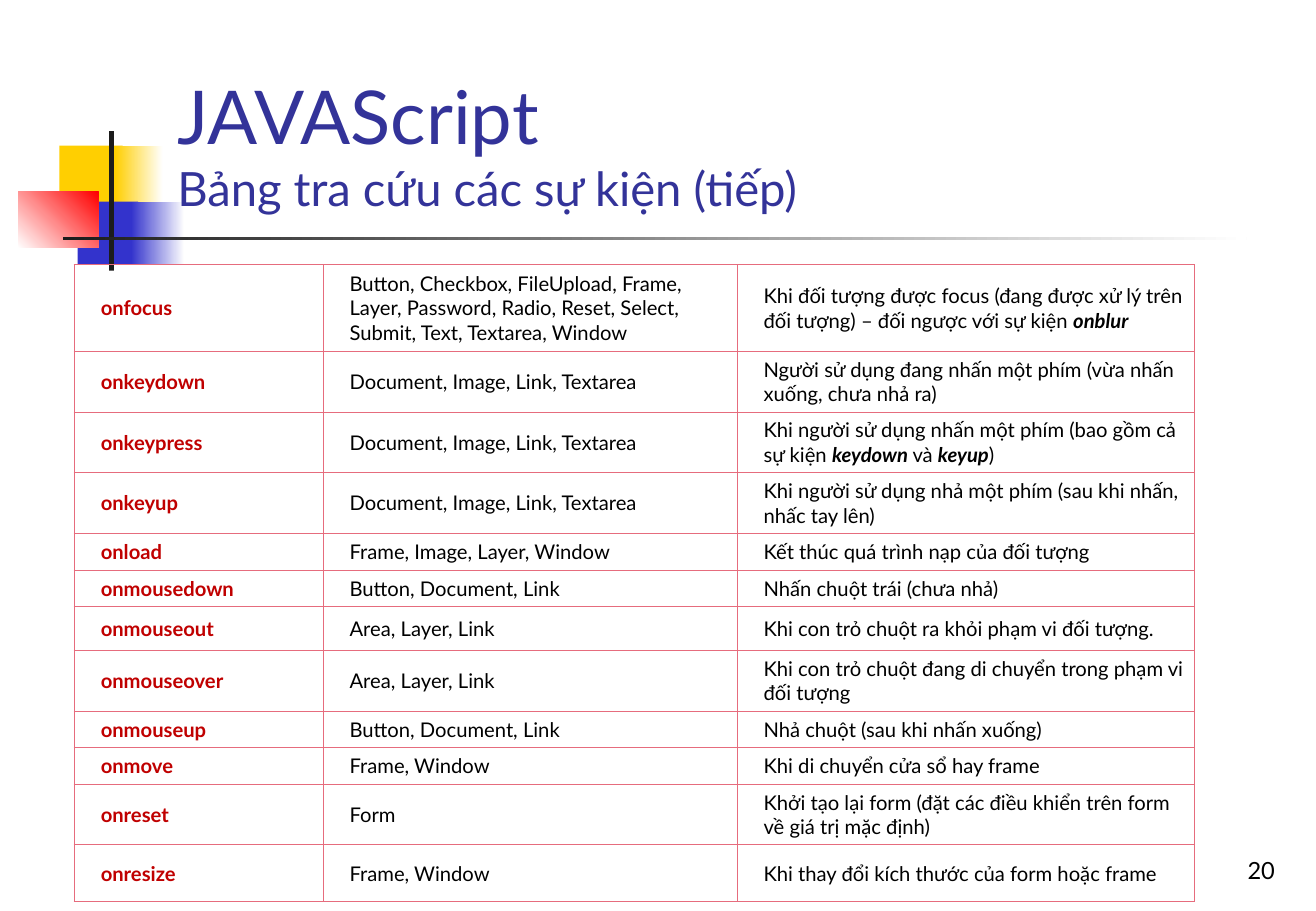
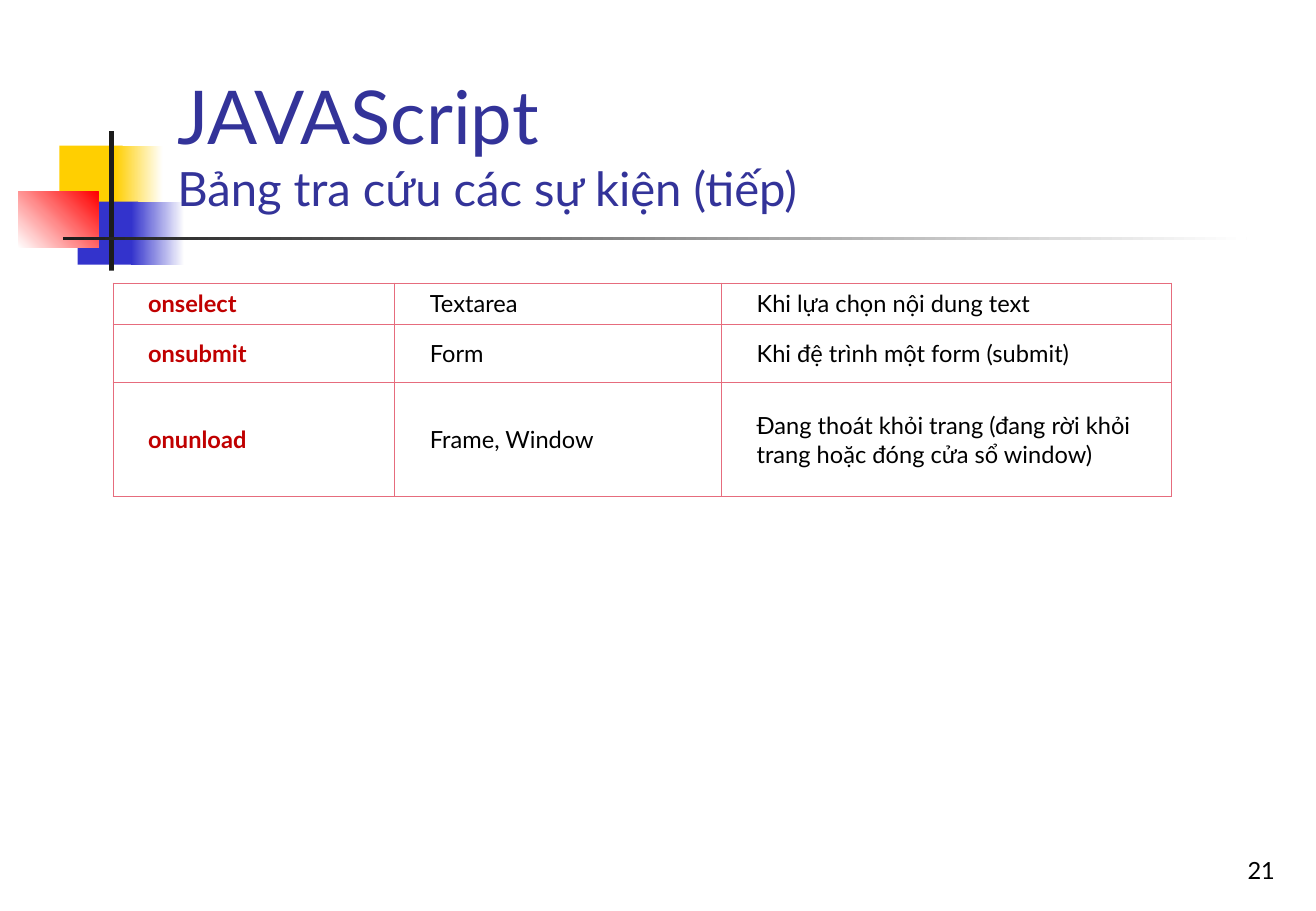
from dataclasses import dataclass

import lxml.etree
import pptx
import pptx.dml.color
import pptx.enum.dml
import pptx.enum.shapes
import pptx.enum.text
import pptx.oxml.ns
import pptx.util


@dataclass(frozen=True)
class Theme:
    font: str = "Lato"
    title: str = "333399"
    text: str = "000000"
    event: str = "C00000"
    border: str = "E66C7D"
    yellow: str = "FFCF01"
    blue: str = "3333CC"
    red: str = "FF0000"
    ink: str = "1C1C1C"
    paper: str = "FFFFFF"
    title_size: int = 44
    subtitle_size: int = 28
    number_size: int = 14
    border_width: float = 0.45


THEME = Theme()
WIDTH = pptx.util.Inches(10.84)
HEIGHT = pptx.util.Inches(7.5)
MIDDLE = pptx.enum.text.MSO_ANCHOR.MIDDLE
BOTTOM = pptx.enum.text.MSO_ANCHOR.BOTTOM

# Left, top, width and height in percent of the slide
TITLE_BOX = (12.55, 3.07, 85.15, 21.33)
NUMBER_BOX = (76.94, 91.07, 20.85, 6.67)

# Box, gradient start, gradient end (None for a solid fill), angle
DECORATION = [
    ((4.52, 16, 4.8, 6.93), THEME.yellow, None, 0),
    ((8.76, 16, 3.6, 6.93), THEME.yellow, THEME.paper, 0),
    ((5.9, 22.13, 4.61, 6.93), THEME.blue, None, 0),
    ((9.96, 22.13, 4.06, 6.93), THEME.blue, THEME.paper, 0),
    ((1.38, 21.07, 6.09, 6.13), THEME.paper, THEME.red, 45),
    ((8.3, 14.4, 0.37, 15.33), THEME.ink, None, 0),
    ((4.8, 26, 89.94, 0.4), THEME.ink, THEME.paper, 0),
]

# Each row: height weight, event, objects, description; *...* is emphasised
SLIDES = [
    {
        "number": "20",
        "box": (5.63, 29.07, 85.15, 65.2),
        "columns": (2.05, 3.41, 3.77),
        "size": 12,
        "margin": 0.02,
        "rows": [
            (71, "onfocus",
             "Button, Checkbox, FileUpload, Frame, Layer, Password, Radio, "
             "Reset, Select, Submit, Text, Textarea, Window",
             "Khi đối tượng được focus (đang được xử lý trên đối tượng) – "
             "đối ngược với sự kiện *onblur*"),
            (47, "onkeydown", "Document, Image, Link, Textarea",
             "Người sử dụng đang nhấn một phím (vừa nhấn xuống, chưa nhả ra)"),
            (47, "onkeypress", "Document, Image, Link, Textarea",
             "Khi người sử dụng nhấn một phím (bao gồm cả sự kiện "
             "*keydown *và *keyup*)"),
            (47, "onkeyup", "Document, Image, Link, Textarea",
             "Khi người sử dụng nhả một phím (sau khi nhấn, nhấc tay lên)"),
            (25, "onload", "Frame, Image, Layer, Window",
             "Kết thúc quá trình nạp của đối tượng"),
            (25, "onmousedown", "Button, Document, Link",
             "Nhấn chuột trái (chưa nhả)"),
            (36, "onmouseout", "Area, Layer, Link",
             "Khi con trỏ chuột ra khỏi phạm vi đối tượng."),
            (47, "onmouseover", "Area, Layer, Link",
             "Khi con trỏ chuột đang di chuyển trong phạm vi đối tượng"),
            (25, "onmouseup", "Button, Document, Link",
             "Nhả chuột (sau khi nhấn xuống)"),
            (25, "onmove", "Frame, Window",
             "Khi di chuyển cửa sổ hay frame"),
            (47, "onreset", "Form",
             "Khởi tạo lại form (đặt các điều khiển trên form về giá trị "
             "mặc định)"),
            (47, "onresize", "Frame, Window",
             "Khi thay đổi kích thước của form hoặc frame"),
        ],
    },
    {
        "number": "21",
        "box": (8.58, 31.07, 80.4, 23.47),
        "columns": (2.32, 2.69, 3.7),
        "size": 14,
        "margin": 0.09,
        "rows": [
            (34, "onselect", "Textarea", "Khi lựa chọn nội dung text"),
            (48, "onsubmit", "Form", "Khi đệ trình một form (submit)"),
            (94, "onunload", "Frame, Window",
             "Đang thoát khỏi trang (đang rời khỏi trang hoặc đóng cửa sổ "
             "window)"),
        ],
    },
]


def rgb(value):
    return pptx.dml.color.RGBColor.from_string(value)


def apply_format(target, values):
    for name, value in values.items():
        setattr(target, name, value)


def place(box):
    """Turn percentages of the slide into left, top, width and height."""
    return [round(share * full / 100)
            for share, full in zip(box, (WIDTH, HEIGHT) * 2)]


def add_run(paragraph, text, size, color, bold=False, italic=False):
    run = paragraph.add_run()
    run.text = text
    apply_format(run.font, {"name": THEME.font, "size": pptx.util.Pt(size),
                            "bold": bold, "italic": italic})
    run.font.color.rgb = rgb(color)


def add_block(slide, box, start, end, angle):
    """Add a borderless rectangle with a solid or two-colour fill."""
    block = slide.shapes.add_shape(
        pptx.enum.shapes.MSO_SHAPE.RECTANGLE, *place(box))
    block.shadow.inherit = False
    block.line.fill.background()
    if end is None:
        block.fill.solid()
        block.fill.fore_color.rgb = rgb(start)
    else:
        block.fill.gradient()
        block.fill.gradient_angle = angle
        for stop, color in zip(block.fill.gradient_stops, (start, end)):
            stop.color.rgb = rgb(color)
    return block


def prepare_layout(layout, slide):
    """Set the shared title frame and move the decoration to the layout."""
    title = layout.placeholders[0]
    apply_format(title, dict(zip(("left", "top", "width", "height"),
                                 place(TITLE_BOX))))
    apply_format(title.text_frame, {
        "vertical_anchor": BOTTOM,
        "auto_size": pptx.enum.text.MSO_AUTO_SIZE.NONE,
    })
    for index, block in enumerate(DECORATION):
        element = add_block(slide, *block).element
        element.nvSpPr.cNvPr.set("id", str(100 + index))
        layout.shapes.element.append(element)


def fill_title(slide):
    paragraph = slide.shapes.title.text_frame.paragraphs[0]
    paragraph.alignment = pptx.enum.text.PP_ALIGN.LEFT
    add_run(paragraph, "JAVAScript", THEME.title_size, THEME.title)
    paragraph.add_line_break()
    add_run(paragraph, "Bảng tra cứu các sự kiện (tiếp)",
            THEME.subtitle_size, THEME.title)


def add_page_number(slide, number):
    frame = slide.shapes.add_textbox(*place(NUMBER_BOX)).text_frame
    apply_format(frame, {"word_wrap": True, "vertical_anchor": BOTTOM})
    paragraph = frame.paragraphs[0]
    paragraph.alignment = pptx.enum.text.PP_ALIGN.RIGHT
    add_run(paragraph, number, THEME.number_size, THEME.text)


def set_borders(cell):
    properties = cell._tc.get_or_add_tcPr()
    qn = pptx.oxml.ns.qn
    for index, side in enumerate(("lnL", "lnR", "lnT", "lnB")):
        line = lxml.etree.Element(
            qn("a:" + side), w=str(pptx.util.Pt(THEME.border_width)))
        fill = lxml.etree.SubElement(line, qn("a:solidFill"))
        lxml.etree.SubElement(fill, qn("a:srgbClr"), val=THEME.border)
        properties.insert(index, line)


def fill_cell(cell, text, size, margin, is_event):
    apply_format(cell, {
        "vertical_anchor": MIDDLE,
        "margin_left": pptx.util.Inches(margin),
        "margin_right": pptx.util.Inches(margin),
        "margin_top": pptx.util.Inches(0.05),
        "margin_bottom": pptx.util.Inches(0.05),
    })
    cell.fill.background()
    set_borders(cell)
    paragraph = cell.text_frame.paragraphs[0]
    paragraph._p.get_or_add_pPr().set("marL", str(pptx.util.Inches(0.2)))
    color = THEME.event if is_event else THEME.text
    for index, part in enumerate(text.split("*")):
        emphasised = index % 2 == 1
        if part:
            add_run(paragraph, part, size, color,
                    bold=is_event or emphasised, italic=emphasised)


def add_event_table(slide, box, columns, rows, size, margin):
    left, top, width, height = place(box)
    table = slide.shapes.add_table(
        len(rows), len(columns), left, top, width, height).table
    apply_format(table, {"first_row": False, "horz_banding": False})
    for column, weight in zip(table.columns, columns):
        column.width = round(width * weight / sum(columns))
    total = sum(weight for weight, *_ in rows)
    for row, (weight, *texts) in zip(table.rows, rows):
        row.height = round(height * weight / total)
        for index, (cell, text) in enumerate(zip(row.cells, texts)):
            fill_cell(cell, text, size, margin, is_event=index == 0)


def main():
    presentation = pptx.Presentation()
    apply_format(presentation, {"slide_width": WIDTH, "slide_height": HEIGHT})
    layout = presentation.slide_layouts.get_by_name("Title Only")
    for index, content in enumerate(SLIDES):
        slide = presentation.slides.add_slide(layout)
        if index == 0:
            prepare_layout(layout, slide)
        fill_title(slide)
        add_page_number(slide, content["number"])
        add_event_table(slide, content["box"], content["columns"],
                        content["rows"], content["size"], content["margin"])
    presentation.save("out.pptx")


if __name__ == "__main__":
    main()
